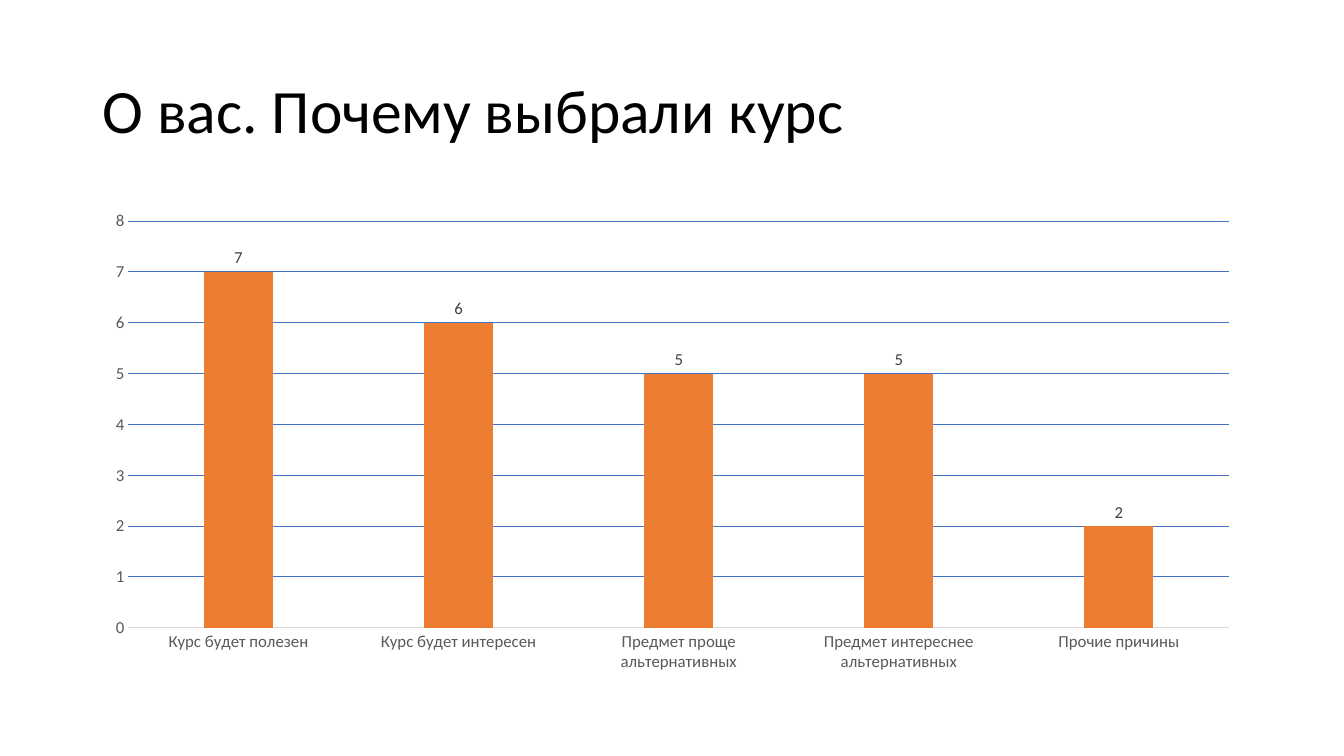
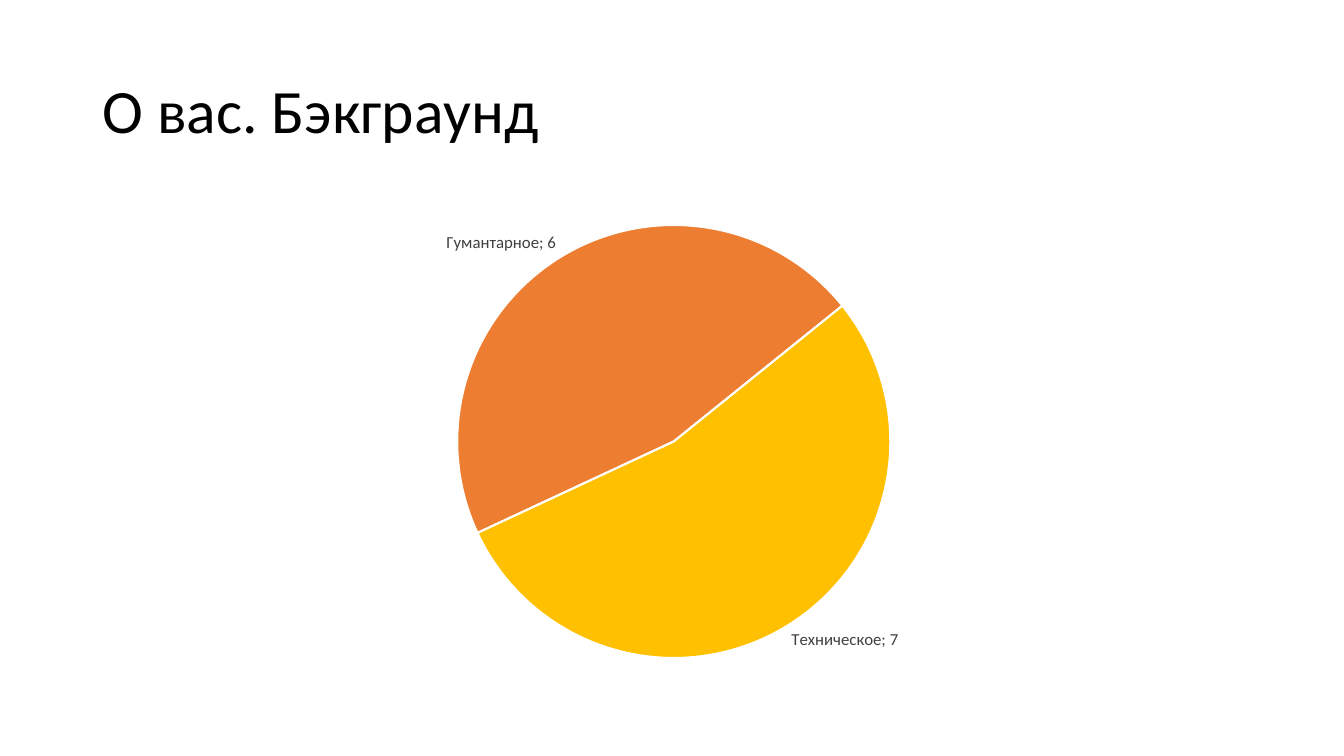
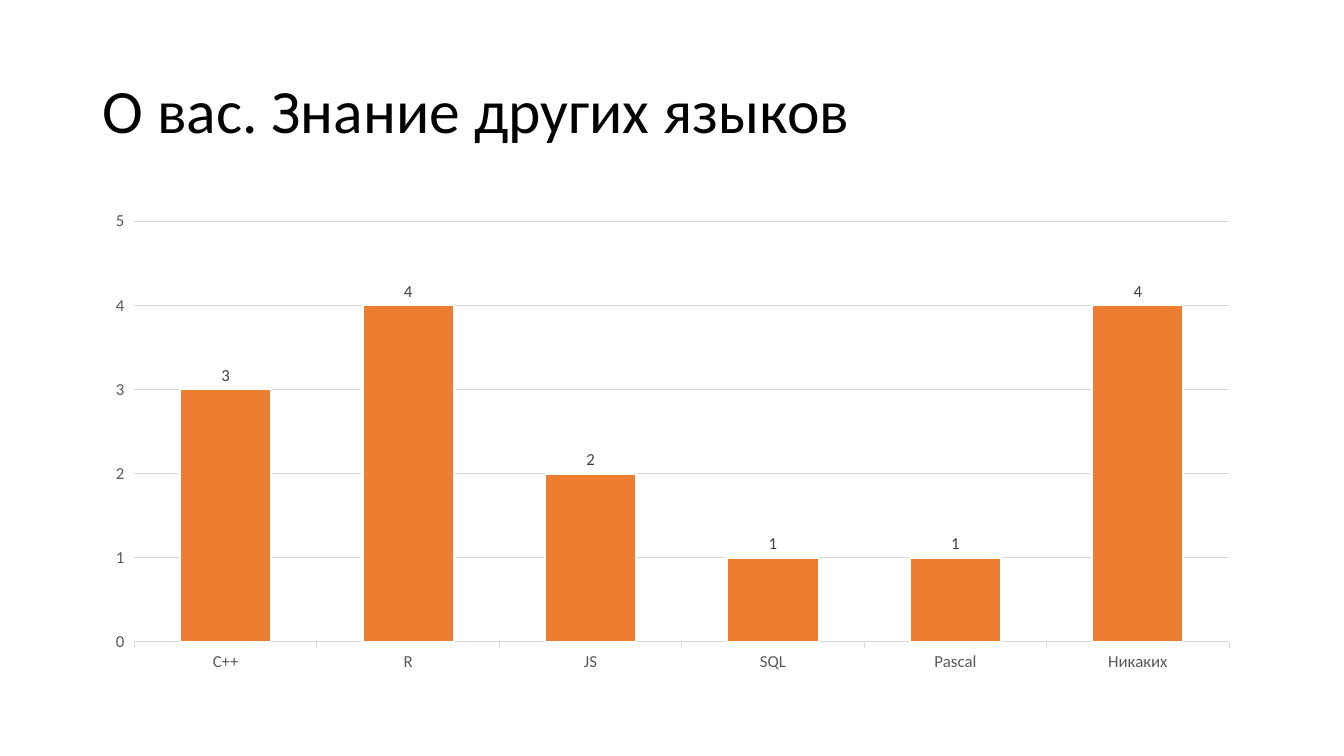
"""Build three survey slides: reasons, background and known languages."""
from dataclasses import dataclass

from lxml import etree
from pptx import Presentation
from pptx.chart.data import CategoryChartData
from pptx.dml.color import RGBColor
from pptx.enum.chart import XL_CHART_TYPE, XL_LABEL_POSITION, XL_TICK_MARK
from pptx.enum.text import MSO_ANCHOR
from pptx.oxml.ns import qn
from pptx.util import Inches, Pt

COLUMN, PIE = XL_CHART_TYPE.COLUMN_CLUSTERED, XL_CHART_TYPE.PIE
OUTER = XL_LABEL_POSITION.OUTSIDE_END
NO_TICK, OUT_TICK = XL_TICK_MARK.NONE, XL_TICK_MARK.OUTSIDE


@dataclass(frozen=True)
class Theme:
    font: str = "Calibri"
    title: int = 44
    label: int = 12
    rule: float = 0.75
    edge: float = 1.5
    black: str = "000000"
    dark: str = "404040"
    gray: str = "595959"
    pale: str = "D9D9D9"
    white: str = "FFFFFF"
    blue: str = "4472C4"
    orange: str = "ED7D31"
    gold: str = "FFC000"


theme = Theme()


def style(font, size, color):
    font.name, font.size = theme.font, Pt(size)
    font.color.rgb = RGBColor.from_string(color)


def stroke(line, color, width):
    line.color.rgb = RGBColor.from_string(color)
    line.width = Pt(width)


deck = Presentation()
deck.slide_width, deck.slide_height = Inches(13.33), Inches(7.5)
left, width = Inches(0.92), Inches(11.5)

topics = [
    dict(title="О вас. Почему выбрали курс", kind=COLUMN,
         data={"Курс будет полезен": 7, "Курс будет интересен": 6,
               "Предмет проще альтернативных": 5,
               "Предмет интереснее альтернативных": 5, "Прочие причины": 2},
         gap=219, overlap=-27, tick=NO_TICK, grid=theme.blue, edge=False),
    dict(title="О вас. Бэкграунд", kind=PIE,
         data={"Гумантарное": 6, "Техническое": 7}, start=245),
    dict(title="О вас. Знание других языков", kind=COLUMN,
         data={"С++": 3, "R": 4, "JS": 2, "SQL": 1, "Pascal": 1, "Никаких": 4},
         gap=100, overlap=0, tick=OUT_TICK, grid=theme.pale, edge=True),
]

for topic in topics:
    slide = deck.slides.add_slide(deck.slide_layouts[6])
    frame = slide.shapes.add_textbox(left, Inches(0.4), width, Inches(1.45)).text_frame
    frame.word_wrap = True
    frame.vertical_anchor = MSO_ANCHOR.MIDDLE
    frame.text = topic["title"]
    title = frame.paragraphs[0]
    title.line_spacing = 0.9
    style(title.runs[0].font, theme.title, theme.black)

    data = CategoryChartData(number_format="0")
    data.categories = list(topic["data"])
    data.add_series("Series 1", list(topic["data"].values()))
    chart = slide.shapes.add_chart(
        topic["kind"], left, Inches(2), width, Inches(4.76), data).chart
    chart.has_legend = chart.has_title = False
    style(chart.font, theme.label, theme.gray)

    plot = chart.plots[0]
    series = plot.series[0]
    labels = series.data_labels
    labels.show_value = True
    labels.number_format, labels.number_format_is_linked = "0", False
    labels.position = OUTER
    style(labels.font, theme.label, theme.dark)

    if topic["kind"] == PIE:
        plot.vary_by_categories = True
        labels.show_category_name = True
        mark = etree.Element(qn("c:separator"))
        mark.text = "; "
        labels._element.find(qn("c:showBubbleSize")).addnext(mark)
        angle = etree.SubElement(plot._element, qn("c:firstSliceAng"))
        angle.set("val", str(topic["start"]))
        for index, color in enumerate((theme.orange, theme.gold)):
            slice_format = series.points[index].format
            slice_format.fill.solid()
            slice_format.fill.fore_color.rgb = RGBColor.from_string(color)
            stroke(slice_format.line, theme.white, theme.edge)
        continue

    plot.vary_by_categories = False
    plot.gap_width, plot.overlap = topic["gap"], topic["overlap"]
    series.format.fill.solid()
    series.format.fill.fore_color.rgb = RGBColor.from_string(theme.orange)
    if topic["edge"]:
        stroke(series.format.line, theme.white, theme.edge)
    for axis in (chart.category_axis, chart.value_axis):
        axis.major_tick_mark, axis.minor_tick_mark = topic["tick"], NO_TICK
        style(axis.tick_labels.font, theme.label, theme.gray)
    stroke(chart.category_axis.format.line, theme.pale, theme.rule)
    scale = chart.value_axis
    scale.format.line.fill.background()
    scale.has_major_gridlines = True
    stroke(scale.major_gridlines.format.line, topic["grid"], theme.rule)
    scale.minimum_scale, scale.major_unit = 0, 1
    scale.maximum_scale = max(topic["data"].values()) + 1

deck.save("out.pptx")
